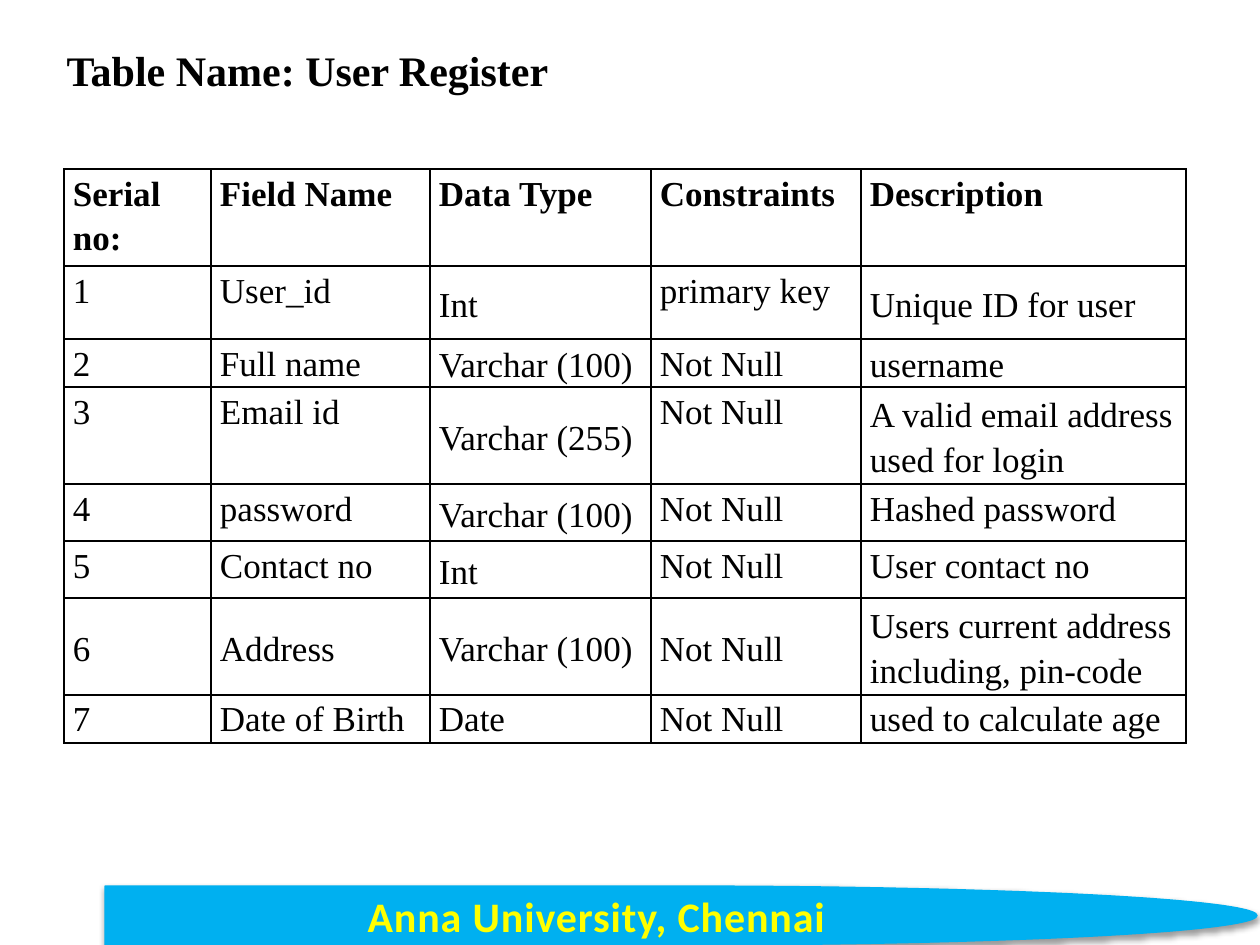
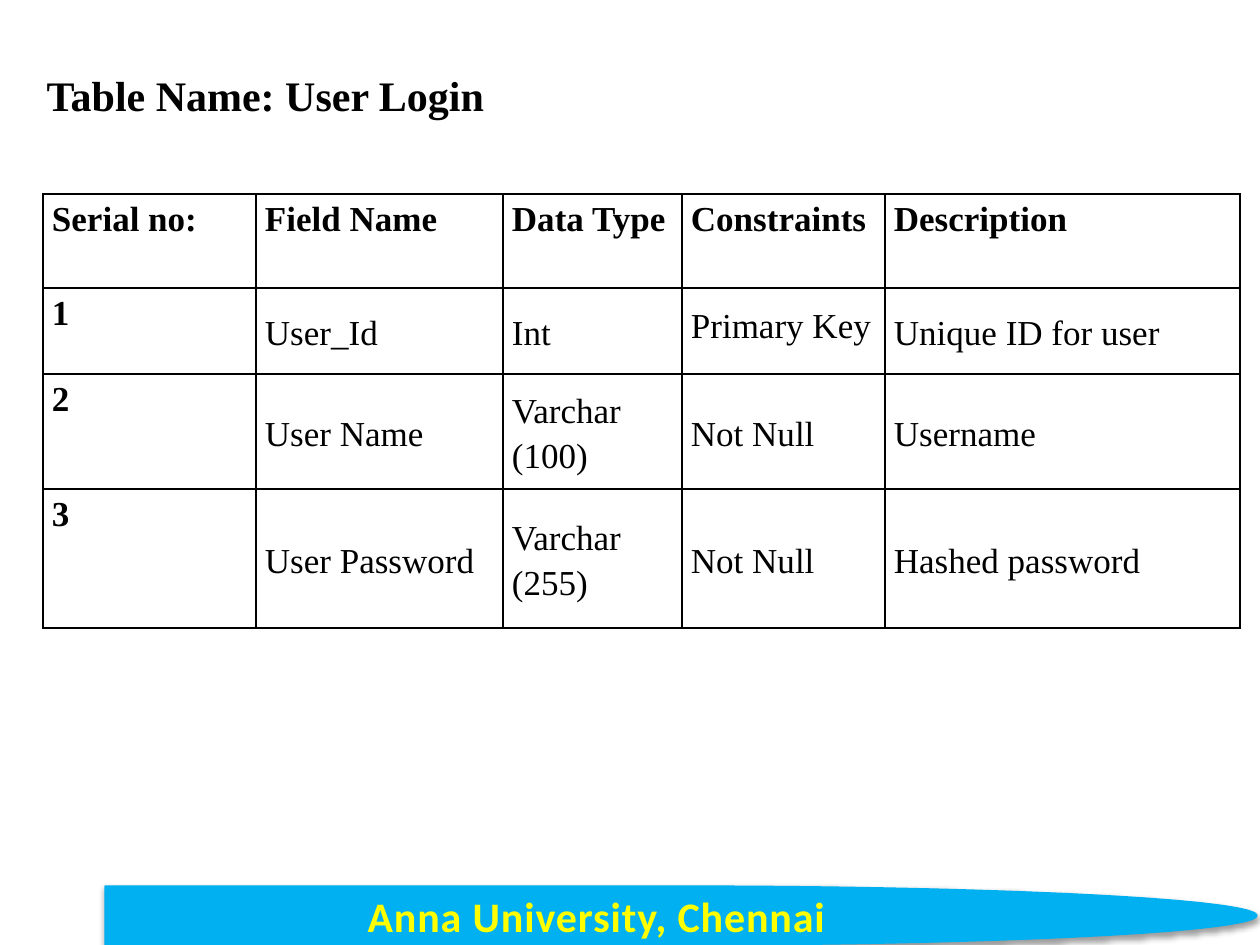
from lxml.etree import SubElement
from pptx import Presentation
from pptx.dml.color import RGBColor
from pptx.enum.shapes import MSO_SHAPE
from pptx.enum.text import MSO_ANCHOR, MSO_AUTO_SIZE, PP_ALIGN
from pptx.oxml.ns import qn
from pptx.util import Emu, Pt

COLORS = {"paper": "FFFFFF", "ink": "000000", "band": "00B0F0",
          "band_text": "FFFF00", "text_outline": "E78738"}
TITLE_ONLY = 5
HEADINGS = ["Serial no:", "Field Name", "Data Type", "Constraints", "Description"]

REGISTER_ROWS = [
    ["1", "User_id", "Int", "primary key", "Unique ID for user"],
    ["2", "Full name", "Varchar (100)", "Not Null", "username"],
    ["3", "Email id", "Varchar (255)", "Not Null",
     "A valid email address used for login"],
    ["4", "password", "Varchar (100)", "Not Null", "Hashed password"],
    ["5", "Contact no", "Int", "Not Null", "User contact no"],
    ["6", "Address", "Varchar (100)", "Not Null",
     "Users current address including, pin-code"],
    ["7", "Date of Birth", "Date", "Not Null", "used to calculate age"],
]
LOGIN_ROWS = [
    ["1", "User_Id", "Int", "Primary Key", "Unique ID for user"],
    ["2", "User Name", "Varchar (100)", "Not Null", "Username"],
    ["3", "User Password", "Varchar (255)", "Not Null", "Hashed password"],
]


def px(length):
    """Turn pixels (126 to the inch) into EMU."""
    return Emu(round(length * 914400 / 126))


def rgb(name):
    return RGBColor.from_string(COLORS[name])


def add_solid_fill(parent, color):
    fill = SubElement(parent, qn("a:solidFill"))
    return SubElement(fill, qn("a:srgbClr"), val=COLORS[color])


def write_text(frame, text, size=20, font="Times New Roman", color="ink", bold=False,
               align=PP_ALIGN.LEFT, line_spacing=1.0, space_after=0):
    paragraph = frame.paragraphs[0]
    paragraph.alignment = align
    paragraph.line_spacing = line_spacing
    paragraph.space_after = Pt(space_after)
    run = paragraph.add_run()
    run.text = text
    run.font.size = Pt(size)
    run.font.name = font
    run.font.bold = bold
    run.font.color.rgb = rgb(color)
    return run


class Deck:
    def __init__(self):
        self.presentation = Presentation()
        self.presentation.slide_width = px(1260)
        self.presentation.slide_height = px(945)
        self.slide = None

    def add_slide(self, title, left, top):
        layout = self.presentation.slide_layouts[TITLE_ONLY]
        self.slide = self.presentation.slides.add_slide(layout)
        self.slide.background.fill.solid()
        self.slide.background.fill.fore_color.rgb = rgb("paper")
        self.add_footer("Anna University, Chennai")
        self.add_title(title, left, top)

    def add_title(self, text, left, top):
        shape = self.slide.shapes.title
        shape.left, shape.top = px(left), px(top)
        shape.width, shape.height = px(1100), px(64)
        frame = shape.text_frame
        frame.auto_size = MSO_AUTO_SIZE.NONE
        frame.vertical_anchor = MSO_ANCHOR.TOP
        write_text(frame, text, size=24, bold=True)

    def add_footer(self, text):
        shape = self.slide.shapes.add_shape(
            MSO_SHAPE.FLOWCHART_DELAY, px(105), px(886), px(1152), px(59))
        shape.fill.solid()
        shape.fill.fore_color.rgb = rgb("band")
        shape.line.color.rgb = rgb("band")
        shape.line.width = Pt(0.75)

        # Soft shadow below the band
        shape.shadow.inherit = False
        effects = shape._element.spPr.find(qn("a:effectLst"))
        shadow = SubElement(effects, qn("a:outerShdw"), blurRad="40000", dist="20000",
                            dir="5400000", rotWithShape="0")
        shadow_color = SubElement(shadow, qn("a:srgbClr"), val=COLORS["ink"])
        SubElement(shadow_color, qn("a:alpha"), val="38000")

        # Outlined, slightly spaced lettering
        frame = shape.text_frame
        frame.vertical_anchor = MSO_ANCHOR.MIDDLE
        run = write_text(frame, text, size=24, font="Calibri", color="band_text",
                         bold=True, align=PP_ALIGN.CENTER)
        properties = run.font._element
        properties.set("spc", "50")
        outline = SubElement(properties, qn("a:ln"), w="12700")
        add_solid_fill(outline, "text_outline")
        properties.insert(0, outline)

    def add_table(self, left, top, widths, heights, rows, cell_format):
        """cell_format(row, column) gives the anchor and text format of a body cell."""
        table = self.slide.shapes.add_table(
            len(heights), len(widths), px(left), px(top),
            px(sum(widths)), px(sum(heights))).table
        table.first_row = table.horz_banding = False
        for column, width in zip(table.columns, widths):
            column.width = px(width)
        for row, height in zip(table.rows, heights):
            row.height = px(height)
        for row, texts in enumerate([HEADINGS] + rows):
            for column, text in enumerate(texts):
                text_format = {"middle": False, "bold": True, "space_after": 10}
                if row:
                    text_format = cell_format(row, column)
                self.fill_cell(table.cell(row, column), text, **text_format)

    def fill_cell(self, cell, text, middle=False, line_spacing=1.15, **text_format):
        cell.margin_left = cell.margin_right = px(9)
        cell.margin_top = cell.margin_bottom = 0
        cell.vertical_anchor = MSO_ANCHOR.MIDDLE if middle else MSO_ANCHOR.TOP
        for side in ("a:lnL", "a:lnR", "a:lnT", "a:lnB"):
            border = SubElement(cell._tc.get_or_add_tcPr(), qn(side), w="12700")
            add_solid_fill(border, "ink")
        cell.fill.solid()
        cell.fill.fore_color.rgb = rgb("paper")
        write_text(cell.text_frame, text, line_spacing=line_spacing, **text_format)


def register_format(row, column):
    middle = (row == 6 or (row <= 5 and column == 2) or (row <= 3 and column == 4))
    return {"middle": middle, "space_after": 10}


def login_format(row, column):
    is_key = (row, column) == (1, 3)
    return {"middle": column > 0 and not is_key, "bold": column == 0,
            "line_spacing": 1.5 if is_key else 1.15}


def main():
    deck = Deck()

    # User Register
    deck.add_slide("Table Name: User Register", 54, 38)
    deck.add_table(64, 169, [147, 219, 221, 210, 325],
                   [97, 73, 48, 97, 57, 57, 97, 48], REGISTER_ROWS, register_format)

    # User Login
    deck.add_slide("Table Name: User Login", 34, 63)
    deck.add_table(43, 194, [213, 247, 179, 203, 355],
                   [94, 86, 115, 139], LOGIN_ROWS, login_format)

    deck.presentation.save("out.pptx")


if __name__ == "__main__":
    main()
